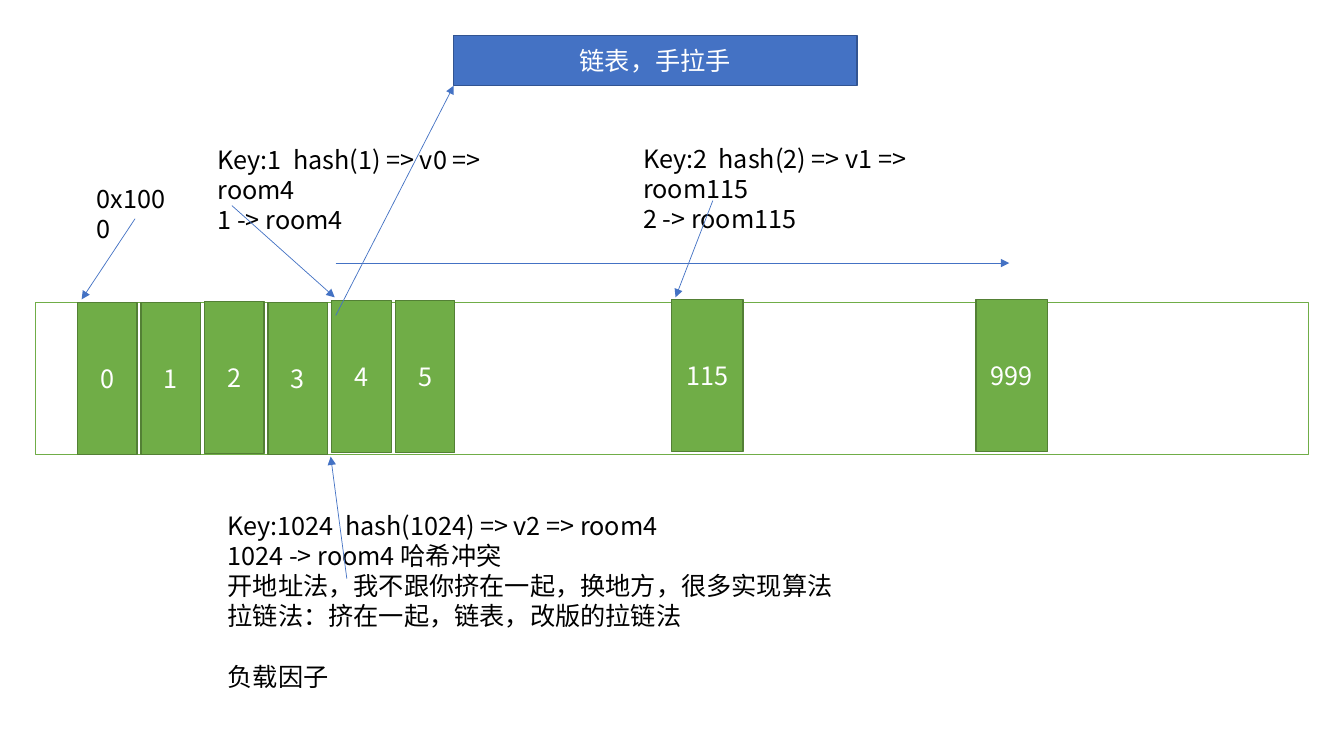
from lxml import etree
from pptx import Presentation
from pptx.dml.color import RGBColor
from pptx.enum.shapes import MSO_CONNECTOR, MSO_SHAPE
from pptx.enum.text import MSO_ANCHOR, MSO_AUTO_SIZE, PP_ALIGN
from pptx.oxml.ns import qn
from pptx.util import Inches, Pt

RECT = MSO_SHAPE.RECTANGLE
LINE = MSO_CONNECTOR.STRAIGHT
MIDDLE = MSO_ANCHOR.MIDDLE
CENTER = PP_ALIGN.CENTER
GROW = MSO_AUTO_SIZE.SHAPE_TO_FIT_TEXT

FONT = "Noto Sans CJK SC"
WHITE = RGBColor(0xFF, 0xFF, 0xFF)
BLACK = RGBColor(0, 0, 0)
GREEN = RGBColor(0x70, 0xAD, 0x47)
MOSS = RGBColor(0x53, 0x80, 0x35)
BLUE = RGBColor(0x44, 0x72, 0xC4)
NAVY = RGBColor(0x32, 0x54, 0x91)

# Content: places are in inches
TABLE = (0.35, 3, 12.63, 1.51)
CHAIN = ("链表，手拉手", (4.5, 0.35, 4, 0.5))
ROOM_TOPS = [3, 3, 2.99, 3, 2.98, 2.98]  # rooms 0 to 5
ROOM_LEFT, ROOM_STEP, ROOM_WIDTH, ROOM_HIGH = 0.77, 0.63, 0.59, 1.51
FAR_ROOMS = [("115", 6.66), ("999", 9.68)]
FAR_TOP, FAR_WIDTH = 2.97, 0.71

# Box, lines of text, space before the last line in points
NOTES = [
    ((0.86, 1.77, 0.98, 0.4), ["0x1000"], 0),
    ((2.06, 1.38, 3.62, 0.71),
     ["Key:1  hash(1) => v0 => room4", "1 -> room4"], 0),
    ((6.28, 1.37, 3.89, 0.71),
     ["Key:2  hash(2) => v1 => room115", "2 -> room115"], 0),
    ((2.16, 5.01, 6.26, 2.22),
     ["Key:1024  hash(1024) => v2 => room4",
      "1024 -> room4 哈希冲突",
      "开地址法，我不跟你挤在一起，换地方，很多实现算法",
      "拉链法：挤在一起，链表，改版的拉链法",
      "负载因子"], 21.7),
]

ARROWS = [
    ((3.33, 2.61), (10.01, 2.61)),
    ((1.34, 2.17), (0.81, 2.97)),
    ((2.3, 2.04), (3.32, 2.95)),
    ((7.07, 1.99), (6.7, 2.95)),
    ((3.44, 5.74), (3.28, 4.53)),
    ((3.33, 3.13), (4.5, 0.85)),
]


def style(par, color):
    for run in par.runs:
        run.font.size = Pt(18)
        run.font.name = FONT
        run.font.color.rgb = color
        east = etree.SubElement(run.font._element, qn("a:ea"))
        east.set("typeface", FONT)


def add_box(slide, box, fill, edge, text=""):
    shape = slide.shapes.add_shape(RECT, *map(Inches, box))
    shape.shadow.inherit = False
    shape.fill.solid()
    shape.fill.fore_color.rgb = fill
    shape.line.color.rgb = edge
    shape.line.width = Pt(1)
    if text:
        frame = shape.text_frame
        frame.text = text
        frame.vertical_anchor = MIDDLE
        par = frame.paragraphs[0]
        par.alignment = CENTER
        style(par, WHITE)


def add_note(slide, box, lines, gap):
    frame = slide.shapes.add_textbox(*map(Inches, box)).text_frame
    frame.word_wrap = True
    frame.auto_size = GROW
    frame.text = "\n".join(lines)
    for par in frame.paragraphs:
        style(par, BLACK)
    if gap:
        frame.paragraphs[-1].space_before = Pt(gap)


def add_arrow(slide, start, end):
    arrow = slide.shapes.add_connector(LINE, *map(Inches, start + end))
    arrow.line.color.rgb = BLUE
    arrow.line.width = Pt(0.5)
    props = arrow._element.spPr
    etree.SubElement(props.find(qn("a:ln")), qn("a:tailEnd")).set("type", "triangle")
    etree.SubElement(props, qn("a:effectLst"))


def main():
    deck = Presentation()
    deck.slide_width, deck.slide_height = Inches(13.33), Inches(7.5)
    slide = deck.slides.add_slide(deck.slide_layouts[6])

    # Hash table and its rooms
    add_box(slide, TABLE, WHITE, GREEN)
    for i, top in enumerate(ROOM_TOPS):
        left = ROOM_LEFT + i * ROOM_STEP
        add_box(slide, (left, top, ROOM_WIDTH, ROOM_HIGH), GREEN, MOSS, str(i))
    for name, left in FAR_ROOMS:
        add_box(slide, (left, FAR_TOP, FAR_WIDTH, ROOM_HIGH), GREEN, MOSS, name)

    # Linked list
    text, box = CHAIN
    add_box(slide, box, BLUE, NAVY, text)

    # Notes and arrows
    for note in NOTES:
        add_note(slide, *note)
    for start, end in ARROWS:
        add_arrow(slide, start, end)

    deck.save("out.pptx")


if __name__ == "__main__":
    main()
